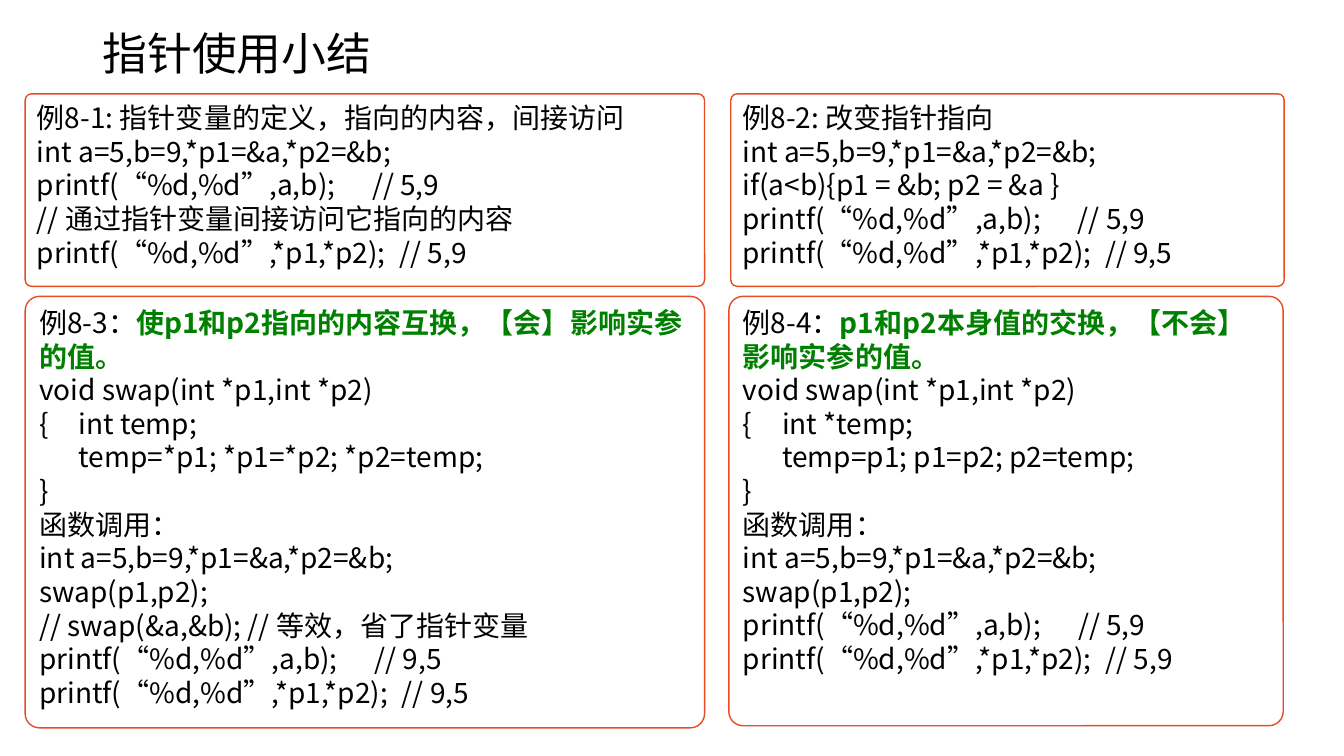
from dataclasses import dataclass

import lxml.etree
import pptx
import pptx.dml.color
import pptx.enum.shapes
import pptx.enum.text
import pptx.oxml.ns
import pptx.util

Pt = pptx.util.Pt
qn = pptx.oxml.ns.qn

FONT = "Noto Sans CJK SC"
BLACK, GREEN, ORANGE, WHITE = "000000", "008000", "E84C22", "FFFFFF"
# Code indent, then the two columns of trailing comments
TAB_STOPS = (28, 239.5, 259)


@dataclass
class Example:
    left: float
    top: float
    width: float
    height: float
    heading: str
    emphasis: str
    code: list[str]


def rgb(color: str) -> pptx.dml.color.RGBColor:
    return pptx.dml.color.RGBColor.from_string(color)


def add_text(paragraph, text: str, *, size: float = 20, color: str = BLACK,
             bold: bool = False) -> None:
    run = paragraph.add_run()
    run.text = text
    run.font.size = Pt(size)
    run.font.bold = bold
    run.font.color.rgb = rgb(color)
    run.font.name = FONT
    properties = run.font._element
    lxml.etree.SubElement(properties, qn("a:ea"), typeface=FONT)


def set_tab_stops(paragraph) -> None:
    tabs = lxml.etree.SubElement(paragraph._p.get_or_add_pPr(), qn("a:tabLst"))
    for stop in TAB_STOPS:
        lxml.etree.SubElement(tabs, qn("a:tab"), pos=str(int(Pt(stop))), algn="l")


def add_example(slide, example: Example) -> None:
    panel = slide.shapes.add_shape(
        pptx.enum.shapes.MSO_SHAPE.ROUNDED_RECTANGLE,
        Pt(example.left), Pt(example.top), Pt(example.width), Pt(example.height))
    panel.adjustments[0] = 0.033
    panel.shadow.inherit = False
    panel.fill.solid()
    panel.fill.fore_color.rgb = rgb(WHITE)
    panel.line.color.rgb = rgb(ORANGE)
    panel.line.width = Pt(1)

    frame = panel.text_frame
    frame.word_wrap = True
    frame.vertical_anchor = pptx.enum.text.MSO_ANCHOR.TOP
    for index, line in enumerate([example.heading, *example.code]):
        paragraph = frame.add_paragraph() if index else frame.paragraphs[0]
        paragraph.alignment = pptx.enum.text.PP_ALIGN.LEFT
        paragraph.line_spacing = Pt(24)
        set_tab_stops(paragraph)
        add_text(paragraph, line)
        if index == 0 and example.emphasis:
            add_text(paragraph, example.emphasis, color=GREEN, bold=True)


def print_values(arguments: str, values: str) -> str:
    return f"printf(“%d,%d”,{arguments});\t// {values}"


def swap_code(temp: str, exchange: str) -> list[str]:
    return ["void swap(int *p1,int *p2)", f"{{\tint {temp};", f"\t{exchange}", "}",
            "函数调用：", DECLARATION, "swap(p1,p2);"]


DECLARATION = "int a=5,b=9,*p1=&a,*p2=&b;"

EXAMPLES = [
    Example(18, 67, 485.3, 137.5, "例8-1: 指针变量的定义，指向的内容，间接访问", "", [
        DECLARATION,
        print_values("a,b", "5,9"),
        "// 通过指针变量间接访问它指向的内容",
        print_values("*p1,*p2", "5,9"),
    ]),
    Example(522, 67, 395.3, 137.5, "例8-2: 改变指针指向", "", [
        DECLARATION,
        "if(a<b){p1 = &b; p2 = &a }",
        print_values("a,b", "5,9"),
        print_values("*p1,*p2", "9,5"),
    ]),
    Example(18, 211.7, 485.3, 308.2, "例8-3：",
            "使p1和p2指向的内容互换，【会】影响实参的值。", [
                *swap_code("temp", "temp=*p1; *p1=*p2; *p2=temp;"),
                "// swap(&a,&b); // 等效，省了指针变量",
                print_values("a,b", "9,5"),
                print_values("*p1,*p2", "9,5"),
            ]),
    Example(520.6, 211.7, 396, 306.7, "例8-4：",
            "p1和p2本身值的交换，【不会】影响实参的值。", [
                *swap_code("*temp", "temp=p1; p1=p2; p2=temp;"),
                print_values("a,b", "5,9"),
                print_values("*p1,*p2", "5,9"),
            ]),
]


def main() -> None:
    presentation = pptx.Presentation()
    presentation.slide_width, presentation.slide_height = Pt(960), Pt(540)
    slide = presentation.slides.add_slide(presentation.slide_layouts[5])

    # Title
    title = slide.shapes.title
    title.left, title.top, title.width, title.height = Pt(66), Pt(-12), Pt(828), Pt(104.4)
    title.text_frame.vertical_anchor = pptx.enum.text.MSO_ANCHOR.MIDDLE
    heading = title.text_frame.paragraphs[0]
    heading.alignment = pptx.enum.text.PP_ALIGN.LEFT
    heading.line_spacing = 0.9
    add_text(heading, "指针使用小结", size=32)

    # Example panels
    for example in EXAMPLES:
        add_example(slide, example)

    presentation.save("out.pptx")


if __name__ == "__main__":
    main()
